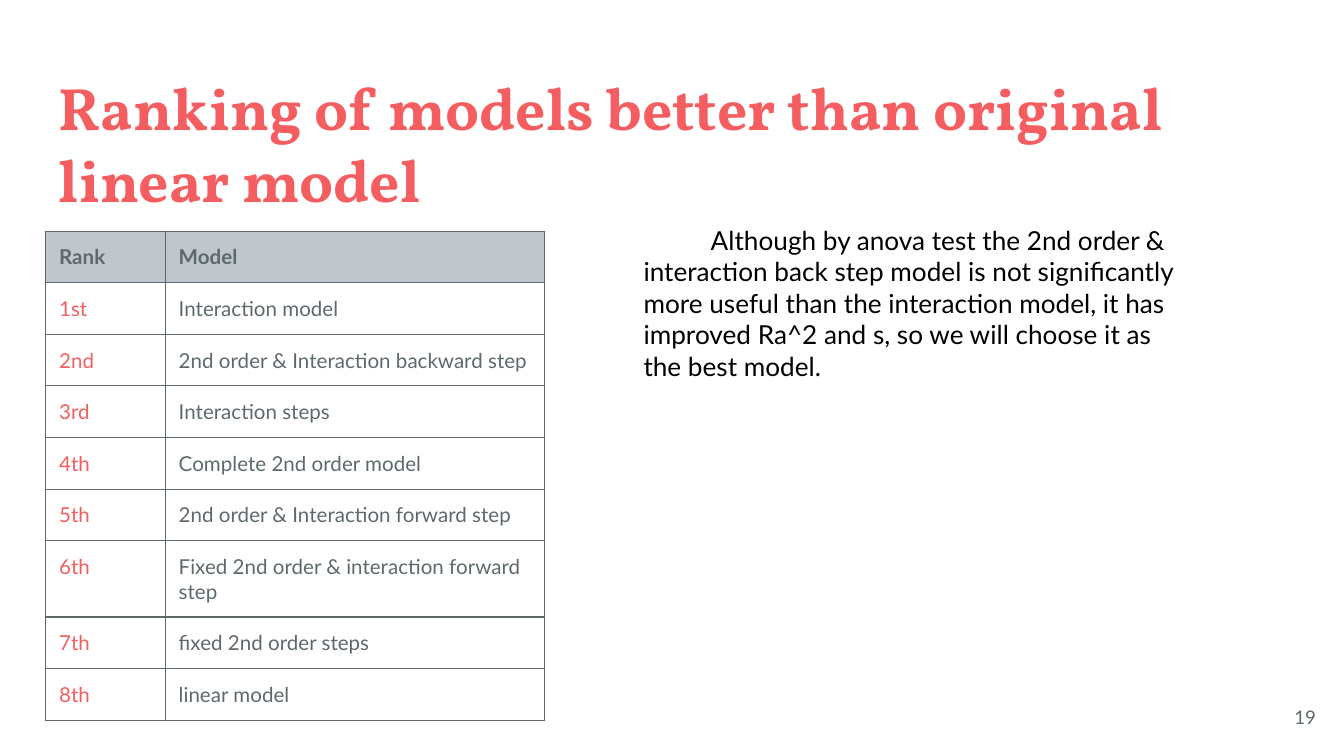
"""Build the slide that ranks the regression models."""
from pptx import Presentation
from pptx import util as u
from pptx.dml.color import RGBColor
from pptx.enum import text
from pptx.oxml import parse_xml
from pptx.oxml.ns import nsdecls

COLORS = {"coral": "F55E61", "slate": "5E696C", "header": "BFC7CA",
          "white": "FFFFFF", "black": "000000"}
TITLE = "Ranking of models better than original linear model"
HEADER = ("Rank", "Model")
RANKING = [
    ("1st", "Interaction model"),
    ("2nd", "2nd order & Interaction backward step"),
    ("3rd", "Interaction steps"),
    ("4th", "Complete 2nd order model"),
    ("5th", "2nd order & Interaction forward step"),
    ("6th", "Fixed 2nd order & interaction forward step"),
    ("7th", "fixed 2nd order steps"),
    ("8th", "linear model"),
]
CONCLUSION = ("Although by anova test the 2nd order & interaction back step model "
              "is not significantly more useful than the interaction model, it has "
              "improved Ra^2 and s, so we will choose it as the best model.")
PAGE = "19"

WIDTH = 10
HEIGHT = WIDTH * 9 / 16
LEFT, TABLE_TOP, TABLE_HEIGHT, ROW_HEIGHT = 0.34, 1.72, 3.28, 0.21
COLUMNS = (0.89, 2.82)
INSET = u.Inches(0.1)
MARGINS = {f"margin_{side}": INSET for side in ("left", "top", "right", "bottom")}


def write(tf, words, color, size, name="Lato", bold=False):
    p = tf.paragraphs[0]
    r = p.add_run()
    r.text = words
    for key, value in {"name": name, "size": u.Pt(size), "bold": bold}.items():
        setattr(r.font, key, value)
    r.font.color.rgb = RGBColor.from_string(COLORS[color])
    return p


def add_text(s, box, words, color, size, anchor=text.MSO_ANCHOR.TOP, **style):
    tf = s.shapes.add_textbox(*map(u.Inches, box)).text_frame
    for key, value in {"word_wrap": True, "vertical_anchor": anchor, **MARGINS}.items():
        setattr(tf, key, value)
    return write(tf, words, color, size, **style)


def style_cell(cell, fill, inner_side):
    for key, value in MARGINS.items():
        setattr(cell, key, value)
    tc_pr = cell._tc.get_or_add_tcPr()
    for side in ("L", "R", "T", "B"):
        width = u.Pt(0.75 if side == inner_side else 0.67)
        tc_pr.append(parse_xml(
            f'<a:ln{side} {nsdecls("a")} w="{width}"><a:solidFill>'
            f'<a:srgbClr val="{COLORS["slate"]}"/></a:solidFill></a:ln{side}>'))
    cell.fill.solid()
    cell.fill.fore_color.rgb = RGBColor.from_string(COLORS[fill])


def add_ranking(s):
    rows = [HEADER, *RANKING]
    box = (LEFT, TABLE_TOP, sum(COLUMNS), TABLE_HEIGHT)
    frame = s.shapes.add_table(len(rows), len(COLUMNS), *map(u.Inches, box))
    table = frame.table
    table.horz_banding = False
    for column, width in zip(table.columns, COLUMNS):
        column.width = u.Inches(width)
    for i, row in enumerate(rows):
        head = i == 0
        table.rows[i].height = u.Inches(ROW_HEIGHT)
        for j, words in enumerate(row):
            cell = table.cell(i, j)
            style_cell(cell, "header" if head else "white", "RL"[j])
            color = "slate" if head or j else "coral"
            write(cell.text_frame, words, color, 11, bold=head)
    frame.height = u.Inches(TABLE_HEIGHT)


def main():
    prs = Presentation()
    prs.slide_width, prs.slide_height = u.Inches(WIDTH), u.Inches(HEIGHT)
    s = prs.slides.add_slide(prs.slide_layouts[6])
    add_text(s, (LEFT, 0.43, WIDTH - 2 * LEFT, 0.68), TITLE, "coral", 32,
             name="Vollkorn", bold=True)
    add_ranking(s)
    p = add_text(s, (4.69, 1.57, 4.26, 3.43), CONCLUSION, "black", 14)
    p._p.get_or_add_pPr().set("indent", str(u.Inches(0.5)))
    p = add_text(s, (9.29, 5.12, 0.6, 0.43), PAGE, "slate", 10,
                 anchor=text.MSO_ANCHOR.MIDDLE)
    p.alignment = text.PP_ALIGN.RIGHT
    prs.save("out.pptx")


if __name__ == "__main__":
    main()
